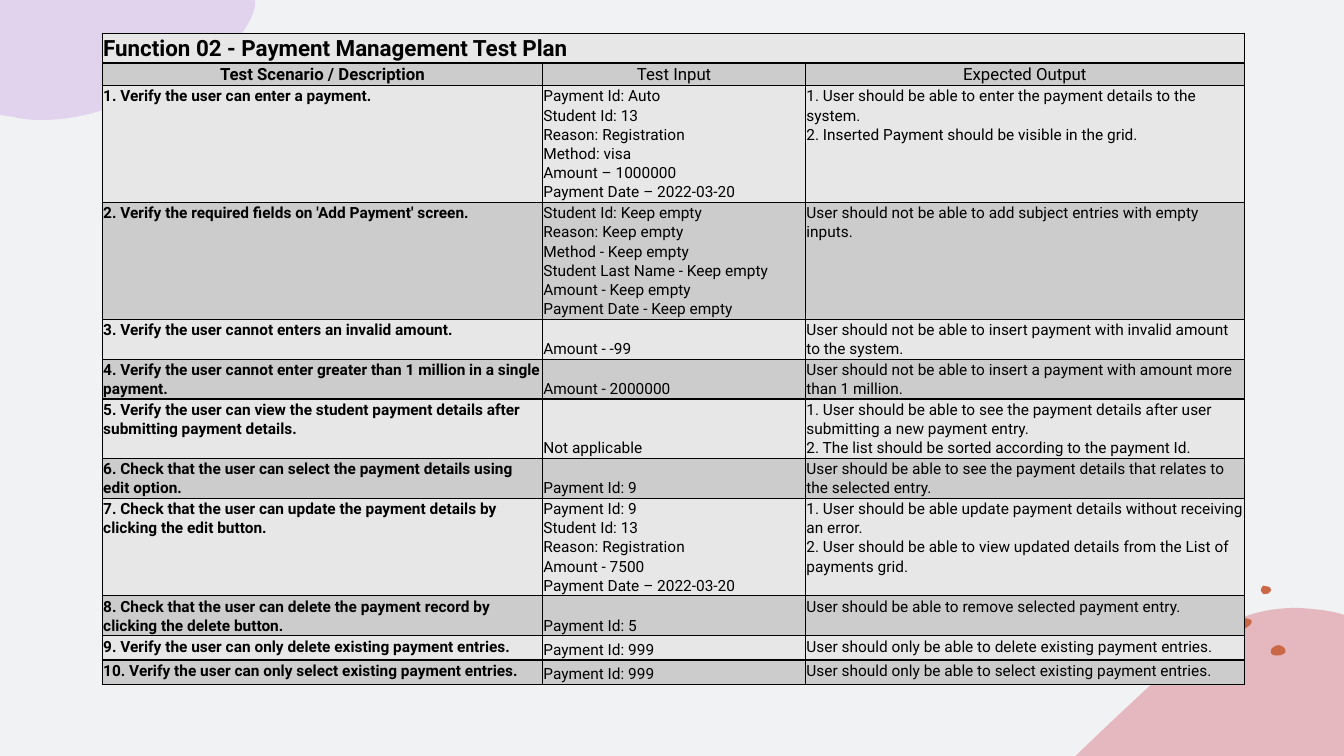
from copy import deepcopy

from lxml.etree import SubElement
from pptx import Presentation
from pptx.dml.color import RGBColor as Rgb
from pptx.enum.text import MSO_ANCHOR as Anchor, PP_ALIGN as Align
from pptx.oxml import parse_xml
from pptx.oxml.ns import nsdecls, qn
from pptx.util import Pt

# Content: scenario, input paragraphs, expected output, text lines the row holds
TITLE = "Function 02 - Payment Management Test Plan"
HEADINGS = ["Test Scenario / Description", "Test Input", "Expected Output"]
TESTS = [
    ("1. Verify the user can enter a payment.",
     ["Payment Id: Auto", "Student Id: 13\nReason: Registration", "Method: visa",
      "Amount – 1000000", "Payment Date – 2022-03-20"],
     "1. User should be able to enter the payment details to the system.\n"
     "2. Inserted Payment should be visible in the grid.", 6),
    ("2. Verify the required fields on 'Add Payment' screen.",
     ["Student Id: Keep empty",
      "Reason: Keep empty\nMethod - Keep empty\nStudent Last Name - Keep empty\n"
      "Amount - Keep empty\nPayment Date - Keep empty"],
     "User should not be able to add subject entries with empty inputs.", 6),
    ("3. Verify the user cannot enters an invalid amount.",
     ["Amount - -99"],
     "User should not be able to insert payment with invalid amount to the system.", 2),
    ("4. Verify the user cannot enter greater than 1 million in a single payment.",
     ["Amount - 2000000"],
     "User should not be able to insert a payment with amount more than 1 million.", 2),
    ("5. Verify the user can view the student payment details after submitting "
     "payment details.",
     ["Not applicable"],
     "1. User should be able to see the payment details after user submitting "
     "a new payment entry.\n"
     "2. The list should be sorted according to the payment Id.", 3),
    ("6. Check that the user can select the payment details using edit option.",
     ["Payment Id: 9"],
     "User should be able to see the payment details that relates to the "
     "selected entry.", 2),
    ("7. Check that the user can update the payment details by clicking the edit button.",
     ["Payment Id: 9",
      "Student Id: 13\nReason: Registration\nAmount - 7500\nPayment Date – 2022-03-20"],
     "1. User should be able update payment details without receiving an error.\n"
     "2. User should be able to view updated details from the List of payments grid.", 5),
    ("8. Check that the user can delete the payment record by clicking the delete button.",
     ["Payment Id: 5"],
     "User should be able to remove selected payment entry.", 2),
    ("9. Verify the user can only delete existing payment entries.",
     ["Payment Id: 999"],
     "User should only be able to delete existing payment entries.", 1),
    ("10. Verify the user can only select existing payment entries.",
     ["Payment Id: 999"],
     "User should only be able to select existing payment entries.", 1),
]

THEME = {
    "font": "Roboto", "text": "000000", "border": "000000", "page": "F0F2F3",
    "light": "E7E7E7", "dark": "CCCCCC",
    "pink": "DB7E8D", "purple": "D4B5EA", "speck": "CB6845",
    "title_size": 16, "heading_size": 12, "body_size": 11,
}

# Background outlines: colour, opacity, then steps of 2 numbers (line) or 6 (curve)
OUTLINES = [
    ("pink", 50, [
        (927.4, 434.2), (936.7, 434.9, 946.1, 435.6, 955.4, 437.8),
        (960, 439.2), (960, 540), (768, 540), (769, 539.3),
        (793.4, 515.5, 818.6, 492.5, 841.7, 470.9),
        (857.5, 455, 874.1, 445.7, 890.6, 439.9),
        (902.9, 435.6, 915.1, 434.2, 927.4, 434.2)]),
    ("speck", 100, [
        (913.7, 460.8), (915.1, 460.8, 917.3, 462.2, 918, 463.7),
        (918.7, 465.1, 918.7, 466.6, 916.6, 467.3),
        (914.4, 468.7, 908.6, 468.7, 907.9, 466.6),
        (907.2, 465.1, 907.9, 463.7, 908.6, 463),
        (910.1, 461.5, 911.5, 460.8, 913.7, 460.8)]),
    ("speck", 100, [
        (900.7, 421.9), (900.7, 421.9, 900.7, 419, 902.2, 418.3),
        (903.6, 418.3, 904.3, 418.3, 905.8, 419),
        (906.5, 419, 907.9, 419.8, 907.9, 421.2),
        (907.9, 421.9, 907.2, 423.4, 906.5, 423.4),
        (906.5, 423.4, 906.5, 424.1, 905, 424.1),
        (904.3, 424.1, 902.9, 424.8, 902.2, 424.1),
        (901.4, 422.6, 900.7, 422.6, 900.7, 421.9)]),
    ("speck", 100, [
        (884.2, 441.4), (888.5, 441.4, 896.4, 441.4, 893.5, 445.7),
        (893.5, 446.4, 892.8, 447.1, 892.1, 447.1),
        (889.9, 448.6, 887.8, 450, 885.6, 451.4),
        (884.9, 452.2, 884.2, 452.9, 883.4, 452.2),
        (883.4, 452.2, 882.7, 451.4, 882.7, 451.4),
        (881.3, 448.6, 880.6, 446.4, 880.6, 443.5),
        (880.6, 442.8, 880.6, 442.1, 881.3, 441.4),
        (881.3, 441.4, 882, 441.4, 882, 441.4),
        (882.7, 441.4, 883.4, 441.4, 884.2, 441.4)]),
    ("purple", 50, [
        (0, 0), (182.2, 0), (182.2, 4.3),
        (176.4, 31.7, 144, 48.2, 113.8, 61.9),
        (88.6, 74.2, 61.9, 85.7, 29.5, 85.7),
        (22.3, 85.7, 15.8, 85, 9.4, 83.5), (0, 82.1), (0, 0)]),
]

TABLE_LEFT, TABLE_TOP = 73.2, 23.8
COLUMN_WIDTHS = [314.4, 187.9, 313.3]
LINE_HEIGHT, MIN_ROW, INSET = 13.7, 17.3, 0.56


def draw_outline(page, color, opacity, steps):
    corners = [(Pt(step[-2]), Pt(step[-1])) for step in steps]
    builder = page.shapes.build_freeform(*corners[0], scale=1.0)
    builder.add_line_segments(corners[1:], close=True)
    shape = builder.convert_to_shape()
    # Bend the segments that carry control points
    segments = list(shape._element.iter(qn("a:lnTo")))
    for segment, step in zip(segments, steps[1:]):
        if len(step) == 6:
            segment.tag = qn("a:cubicBezTo")
            for index, (x, y) in enumerate([step[:2], step[2:4]]):
                point = deepcopy(segment[-1])
                point.set("x", str(Pt(x) - shape.left))
                point.set("y", str(Pt(y) - shape.top))
                segment.insert(index, point)
    shape.shadow.inherit = False
    shape.line.fill.background()
    shape.fill.solid()
    shape.fill.fore_color.rgb = Rgb.from_string(THEME[color])
    if opacity < 100:
        tint = shape.fill._xPr.find(".//" + qn("a:srgbClr"))
        SubElement(tint, qn("a:alpha")).set("val", str(opacity * 1000))


def write_cell(cell, paragraphs, size="body_size", bold=False, align=Align.LEFT,
               anchor=Anchor.TOP):
    cell.vertical_anchor = anchor
    frame = cell.text_frame
    for index, text in enumerate(paragraphs):
        para = frame.add_paragraph() if index else frame.paragraphs[0]
        para.alignment = align
        para.line_spacing = 1.07
        for number, line in enumerate(text.split("\n")):
            if number:
                para.add_line_break()
            span = para.add_run()
            span.text = line
            span.font.name = THEME["font"]
            span.font.size = Pt(THEME[size])
            span.font.bold = bold
            span.font.color.rgb = Rgb.from_string(THEME["text"])
        # Line breaks take the format of the text
        for line_break in para._p.findall(qn("a:br")):
            line_break.append(deepcopy(span._r.find(qn("a:rPr"))))


def style_cell(cell, color):
    cell.margin_left = cell.margin_right = Pt(INSET)
    cell.margin_top = cell.margin_bottom = Pt(INSET)
    cell.fill.solid()
    cell.fill.fore_color.rgb = Rgb.from_string(THEME[color])
    properties = cell._tc.get_or_add_tcPr()
    for index, side in enumerate(["lnL", "lnR", "lnT", "lnB"]):
        properties.insert(index, parse_xml(
            f'<a:{side} {nsdecls("a")} w="{Pt(1)}"><a:solidFill>'
            f'<a:srgbClr val="{THEME["border"]}"/></a:solidFill></a:{side}>'))


def main():
    deck = Presentation()
    deck.slide_width, deck.slide_height = Pt(960), Pt(540)
    page = deck.slides.add_slide(deck.slide_layouts[6])
    page.background.fill.solid()
    page.background.fill.fore_color.rgb = Rgb.from_string(THEME["page"])

    # Background blobs and specks
    for outline in OUTLINES:
        draw_outline(page, *outline)

    # Table grid
    heights = [21.2, 15.4] + [max(MIN_ROW, LINE_HEIGHT * test[3] + 1) for test in TESTS]
    table = page.shapes.add_table(
        len(heights), len(COLUMN_WIDTHS), Pt(TABLE_LEFT), Pt(TABLE_TOP),
        Pt(sum(COLUMN_WIDTHS)), Pt(sum(heights))).table
    for column, width in zip(table.columns, COLUMN_WIDTHS):
        column.width = Pt(width)
    for index, (row, height) in enumerate(zip(table.rows, heights)):
        row.height = Pt(height)
        for cell in row.cells:
            style_cell(cell, "dark" if index % 2 else "light")

    # Title and headings
    table.cell(0, 0).merge(table.cell(0, 2))
    write_cell(table.cell(0, 0), [TITLE], size="title_size", bold=True)
    for column, heading in enumerate(HEADINGS):
        write_cell(table.cell(1, column), [heading], size="heading_size",
                   bold=column == 0, align=Align.CENTER,
                   anchor=Anchor.BOTTOM if column else Anchor.TOP)

    # Test rows
    for row, (scenario, inputs, expected, _) in enumerate(TESTS, start=2):
        write_cell(table.cell(row, 0), [scenario], bold=True)
        write_cell(table.cell(row, 1), inputs, anchor=Anchor.BOTTOM)
        write_cell(table.cell(row, 2), [expected])

    deck.save("out.pptx")


if __name__ == "__main__":
    main()
